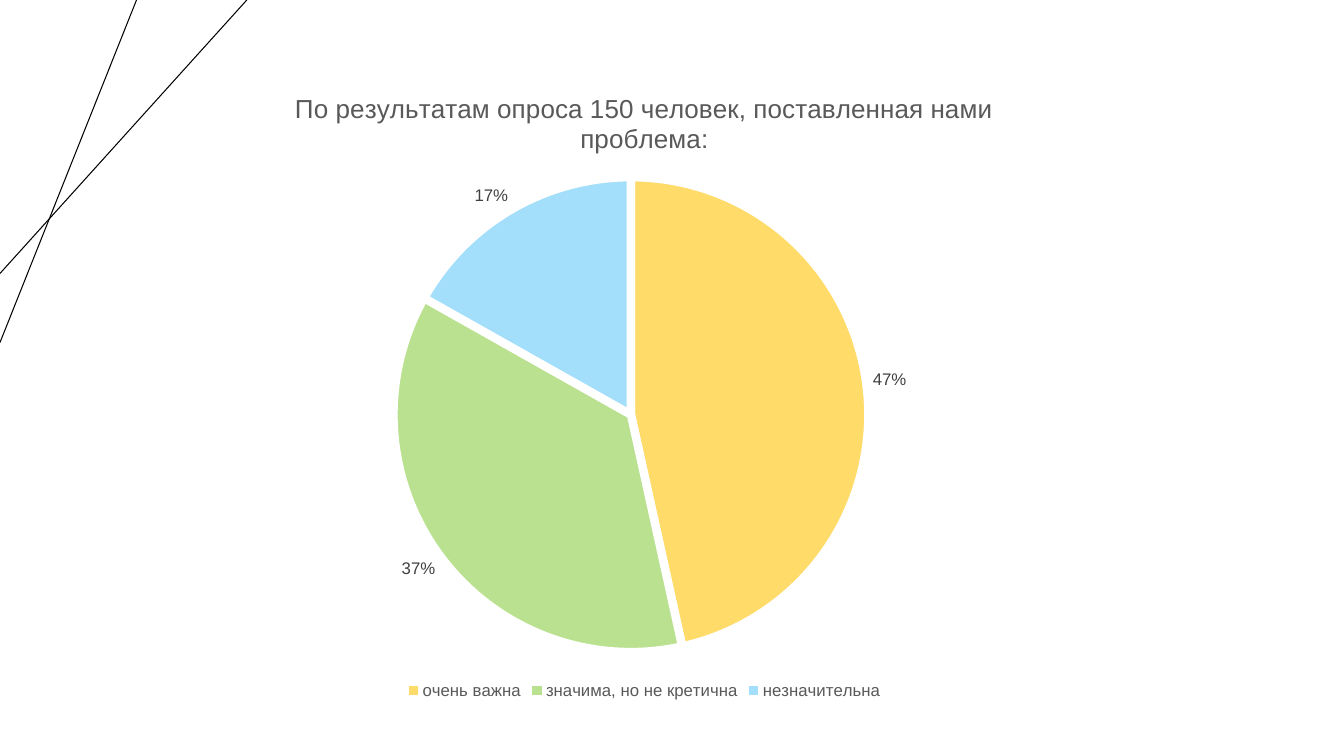
import pptx
import pptx.chart.data
import pptx.dml.color
import pptx.enum.chart
import pptx.enum.shapes
import pptx.oxml
import pptx.oxml.ns
import pptx.util
from pptx.util import Cm, Pt

RGBColor = pptx.dml.color.RGBColor
BLACK = RGBColor(0x00, 0x00, 0x00)
WHITE = RGBColor(0xFF, 0xFF, 0xFF)
HEADING_GREY = RGBColor(0x59, 0x59, 0x59)
LABEL_GREY = RGBColor(0x40, 0x40, 0x40)
YELLOW = RGBColor(0xFF, 0xDB, 0x69)
GREEN = RGBColor(0xBA, 0xE1, 0x8F)
BLUE = RGBColor(0xA3, 0xDE, 0xFB)

QUESTION = "По результатам опроса 150 человек, поставленная нами проблема:"
ANSWERS = [
    ("очень важна", 47, YELLOW),
    ("значима, но не кретична", 37, GREEN),
    ("незначительна", 17, BLUE),
]


def format_font(font, size, color, name="Arial"):
    font.name = name
    font.size = Pt(size)
    font.bold = False
    font.color.rgb = color


def write_text(frame, text, **style):
    frame.text = text
    format_font(frame.paragraphs[0].runs[0].font, **style)


class SurveySlide:
    def __init__(self, presentation):
        blank_layout = presentation.slide_layouts[6]
        self.slide = presentation.slides.add_slide(blank_layout)

    def line(self, start, end):
        stroke = self.slide.shapes.add_connector(
            pptx.enum.shapes.MSO_CONNECTOR.STRAIGHT, *start, *end)
        stroke.line.color.rgb = BLACK
        stroke.line.width = Pt(0.75)
        properties = stroke.element.spPr
        properties.append(pptx.oxml.parse_xml(
            f"<a:effectLst {pptx.oxml.ns.nsdecls('a')}/>"))

    def pie(self, title, answers, left, top, width, height):
        survey = pptx.chart.data.CategoryChartData()
        survey.categories = [name for name, _, _ in answers]
        survey.add_series("Series 1", [share for _, share, _ in answers])
        chart = self.slide.shapes.add_chart(
            pptx.enum.chart.XL_CHART_TYPE.PIE,
            left, top, width, height, survey).chart
        format_font(chart.font, size=10, color=BLACK)

        chart.has_title = True
        write_text(chart.chart_title.text_frame, title,
                   size=18.6, color=HEADING_GREY)
        chart.chart_title.include_in_layout = False

        chart.has_legend = True
        chart.legend.position = pptx.enum.chart.XL_LEGEND_POSITION.BOTTOM
        chart.legend.include_in_layout = False
        format_font(chart.legend.font, size=12, color=HEADING_GREY)

        plot = chart.plots[0]
        plot.vary_by_categories = True
        for index, (_, _, color) in enumerate(answers):
            slice_format = plot.series[0].points[index].format
            slice_format.fill.solid()
            slice_format.fill.fore_color.rgb = color
            slice_format.line.color.rgb = WHITE
            slice_format.line.width = Pt(6)

        plot.has_data_labels = True
        labels = plot.data_labels
        labels.show_value = False
        labels.show_percentage = True
        labels.number_format = "0%"
        labels.number_format_is_linked = False
        labels.position = pptx.enum.chart.XL_LABEL_POSITION.OUTSIDE_END
        format_font(labels.font, size=12, color=LABEL_GREY)
        self.place_plot(chart, x=0.22, y=0.17, w=0.53, h=0.75)

    def place_plot(self, chart, **fractions):
        """Fix the inner plot area, in fractions of the chart's size."""
        area = chart.plots[0]._element.getparent()
        for old_layout in area.findall(pptx.oxml.ns.qn("c:layout")):
            area.remove(old_layout)
        sizes = "".join(f'<c:{key} val="{value}"/>'
                        for key, value in fractions.items())
        area.insert(0, pptx.oxml.parse_xml(
            f"<c:layout {pptx.oxml.ns.nsdecls('c')}><c:manualLayout>"
            '<c:layoutTarget val="inner"/>'
            '<c:xMode val="edge"/><c:yMode val="edge"/>'
            f"{sizes}</c:manualLayout></c:layout>"))


def main():
    presentation = pptx.Presentation()
    presentation.slide_width = Cm(33.87)
    presentation.slide_height = Cm(19.05)
    survey_slide = SurveySlide(presentation)
    for top_x, left_y in ((3.44, 8.63), (6.22, 6.89)):
        survey_slide.line((Cm(top_x), Cm(0)), (Cm(0), Cm(left_y)))
    survey_slide.pie(QUESTION, ANSWERS,
                     Cm(4.95), Cm(1.73), Cm(22.58), Cm(16))
    presentation.save("out.pptx")


if __name__ == "__main__":
    main()
